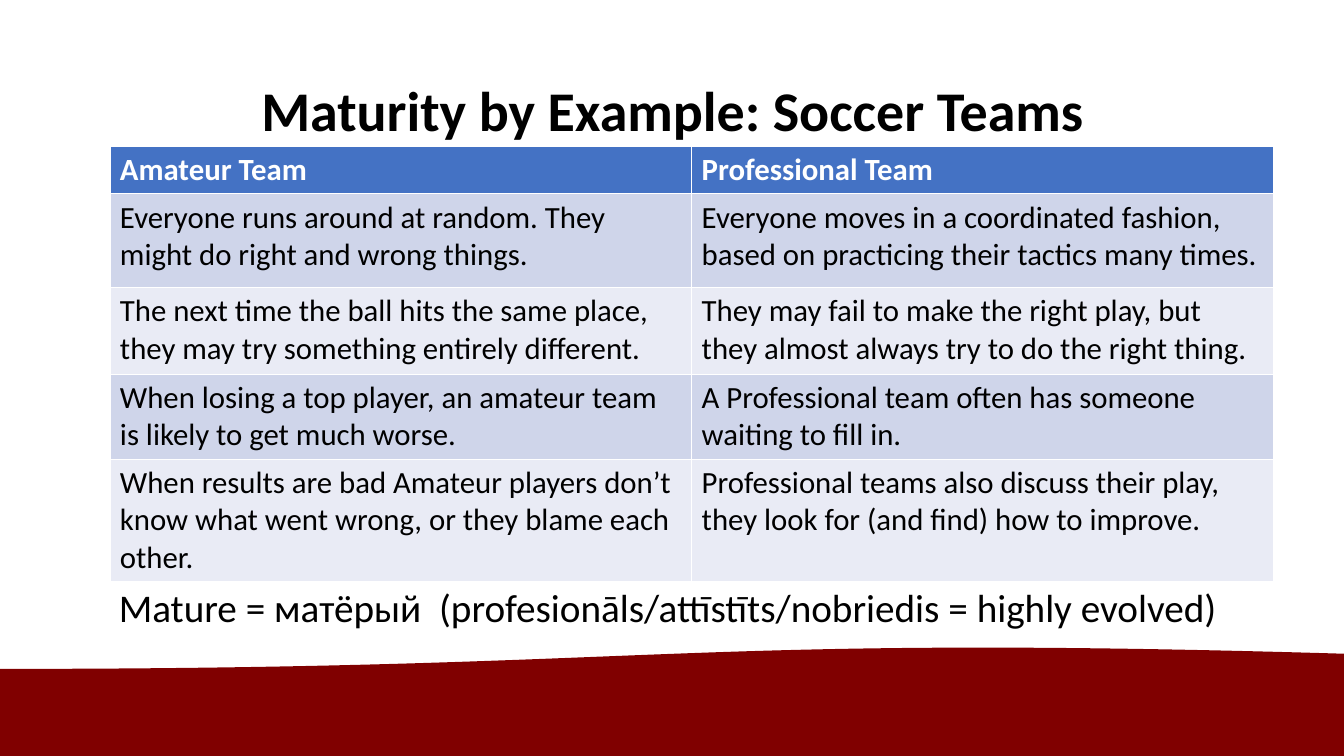
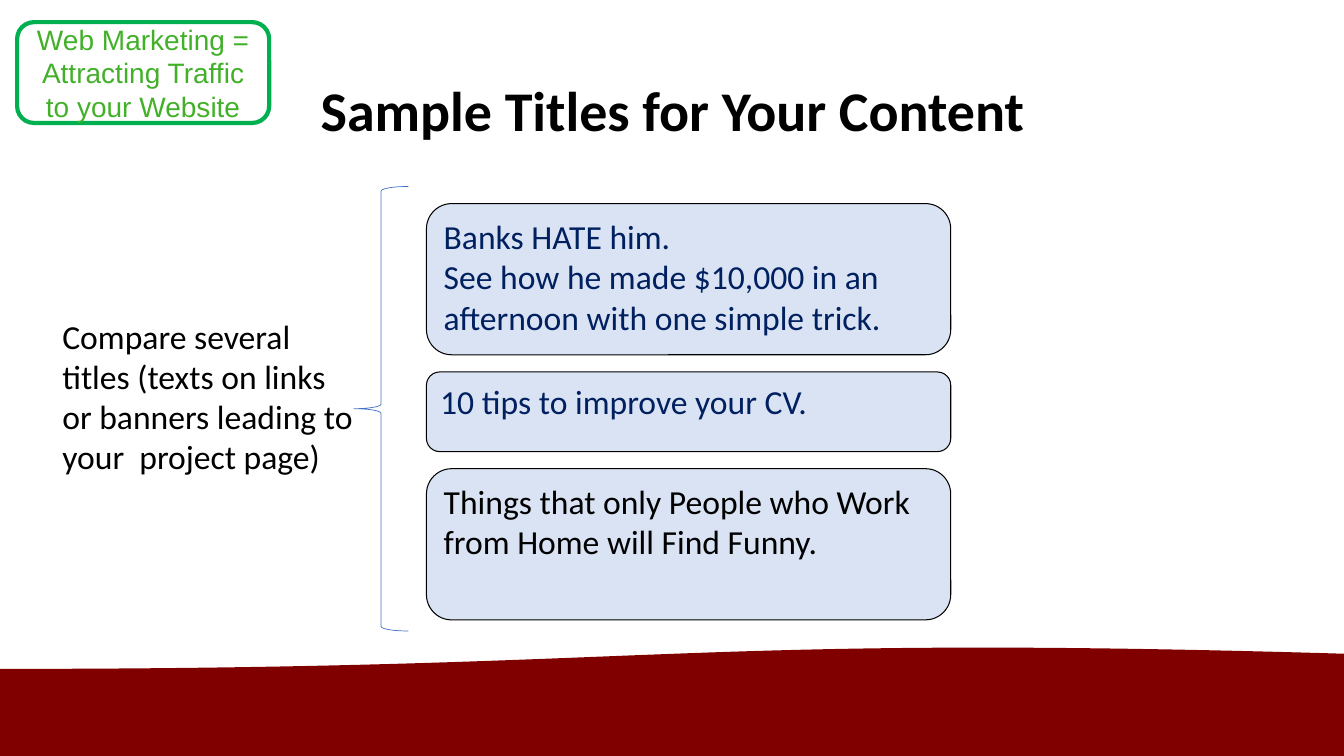
import pptx
import pptx.util
import pptx.dml.color
import pptx.enum.shapes
import pptx.enum.text

PX = 9144
SLIDE_SIZE = (1333, 750)
TITLE_BOX = (92, 40, 1150, 145)
BAND_BOX = (0, 641, 1333, 114)

RGB = pptx.dml.color.RGBColor
SHAPES = pptx.enum.shapes.MSO_SHAPE
ALIGN = pptx.enum.text.PP_ALIGN
ANCHOR = pptx.enum.text.MSO_ANCHOR

BLACK = RGB(0x00, 0x00, 0x00)
WHITE = RGB(0xFF, 0xFF, 0xFF)
MAROON = RGB(0x80, 0x00, 0x00)
BLUE = RGB(0x44, 0x72, 0xC4)
NAVY = RGB(0x00, 0x20, 0x60)
CARD_BLUE = RGB(0xDA, 0xE3, 0xF3)
ROW_DARK = RGB(0xCF, 0xD5, 0xEA)
ROW_LIGHT = RGB(0xE9, 0xEB, 0xF5)
GREEN = RGB(0x00, 0xB0, 0x50)
LEAF = RGB(0x43, 0xB0, 0x2A)

TEAMS_TITLE = "Maturity by Example: Soccer Teams"
TEAMS_BOX = (109, 145, 1154, 416)
TEAMS_ROWS = [
    (44, "Amateur Team", "Professional Team"),
    (93, "Everyone runs around at random. They might do right and wrong things.",
     "Everyone moves in a coordinated fashion, based on practicing their tactics many times."),
    (86, "The next time the ball hits the same place, they may try something entirely different.",
     "They may fail to make the right play, but they almost always try to do the right thing."),
    (79, "When losing a top player, an amateur team is likely to get much worse.",
     "A Professional team often has someone waiting to fill in."),
    (114, "When results are bad Amateur players don’t know what went wrong, or they blame each other.",
     "Professional teams also discuss their play, they look for (and find) how to improve."),
]
MATURE_NOTE = "Mature = матёрый  (profesionāls/attīstīts/nobriedis = highly evolved)"
MATURE_BOX = (108, 574, 1122, 57)

SAMPLES_TITLE = "Sample Titles for Your Content"
CARD_LEFT, CARD_TOP, CARD_WIDTH, CARD_GAP = 423, 202, 520, 17
CARDS = [
    (150, NAVY, "Banks HATE him.\vSee how he made $10,000 in an afternoon with one simple trick."),
    (79, NAVY, "10 tips to improve your CV."),
    (150, BLACK, "Things that only People who Work from Home will Find Funny."),
]
BRACE_BOX = (351, 185, 54, 441)
TASK = "Compare several titles (texts on links or banners leading to your  project page)"
TASK_BOX = (52, 308, 317, 172)
BADGE = "Web Marketing = Attracting Traffic to your Website"
BADGE_BOX = (17, 22, 250, 100)


def emu(lengths):
    return [pptx.util.Emu(length * PX) for length in lengths]


def write(frame, text, size=24, color=BLACK, font="Calibri", bold=False,
          align=ALIGN.LEFT, spacing=None):
    para = frame.paragraphs[0]
    para.text = text
    para.alignment = align
    para.line_spacing = spacing
    for span in para.runs:
        span.font.name = font
        span.font.size = pptx.util.Pt(size)
        span.font.bold = bold
        span.font.color.rgb = color


def add_box(page, kind, place, fill=None, line=None, weight=0.75):
    box = page.shapes.add_shape(kind, *emu(place))
    box.shadow.inherit = False
    if fill is None:
        box.fill.background()
    else:
        box.fill.solid()
        box.fill.fore_color.rgb = fill
    if line is None:
        box.line.fill.background()
    else:
        box.line.color.rgb = line
        box.line.width = pptx.util.Pt(weight)
    box.text_frame.word_wrap = True
    box.text_frame.vertical_anchor = ANCHOR.TOP
    return box


def add_text(page, place, text, **style):
    box = page.shapes.add_textbox(*emu(place))
    box.text_frame.word_wrap = True
    write(box.text_frame, text, **style)


def add_page(deck, layout, title):
    page = deck.slides.add_slide(layout)
    frame = page.shapes.title.text_frame
    frame.vertical_anchor = ANCHOR.MIDDLE
    write(frame, title, size=40, bold=True, align=ALIGN.CENTER, spacing=0.9)
    return page


def dress_layout(layout, page):
    title = layout.placeholders[0]
    title.left, title.top, title.width, title.height = emu(TITLE_BOX)
    band = add_box(page, SHAPES.FLOWCHART_DOCUMENT, BAND_BOX, fill=MAROON)
    band.rotation = 180
    layout.shapes.element.insert(2, band.element)


def fill_teams(page):
    columns = len(TEAMS_ROWS[0]) - 1
    table = page.shapes.add_table(len(TEAMS_ROWS), columns, *emu(TEAMS_BOX)).table
    for row, (height, *texts) in enumerate(TEAMS_ROWS):
        table.rows[row].height = pptx.util.Emu(height * PX)
        header = row == 0
        fill = BLUE if header else (ROW_LIGHT, ROW_DARK)[row % 2]
        for column, text in enumerate(texts):
            cell = table.cell(row, column)
            cell.fill.solid()
            cell.fill.fore_color.rgb = fill
            write(cell.text_frame, text, size=22, bold=header,
                  color=WHITE if header else BLACK)
    add_text(page, MATURE_BOX, MATURE_NOTE, size=28)


def fill_samples(page):
    top = CARD_TOP
    for height, color, text in CARDS:
        card = add_box(page, SHAPES.ROUNDED_RECTANGLE,
                       (CARD_LEFT, top, CARD_WIDTH, height), fill=CARD_BLUE, line=BLACK)
        write(card.text_frame, text, color=color)
        top += height + CARD_GAP
    add_box(page, SHAPES.LEFT_BRACE, BRACE_BOX, line=BLUE, weight=0.5)
    add_text(page, TASK_BOX, TASK)
    badge = add_box(page, SHAPES.ROUNDED_RECTANGLE, BADGE_BOX, line=GREEN, weight=3)
    frame = badge.text_frame
    frame.vertical_anchor = ANCHOR.MIDDLE
    frame.margin_top, frame.margin_bottom = emu((1, 1))
    write(frame, BADGE, size=20, color=LEAF, font="Arial", align=ALIGN.CENTER)


def main():
    deck = pptx.Presentation()
    deck.slide_width, deck.slide_height = emu(SLIDE_SIZE)
    layout = deck.slide_layouts.get_by_name("Title Only")
    teams = add_page(deck, layout, TEAMS_TITLE)
    dress_layout(layout, teams)
    fill_teams(teams)
    fill_samples(add_page(deck, layout, SAMPLES_TITLE))
    deck.save("out.pptx")


if __name__ == "__main__":
    main()
